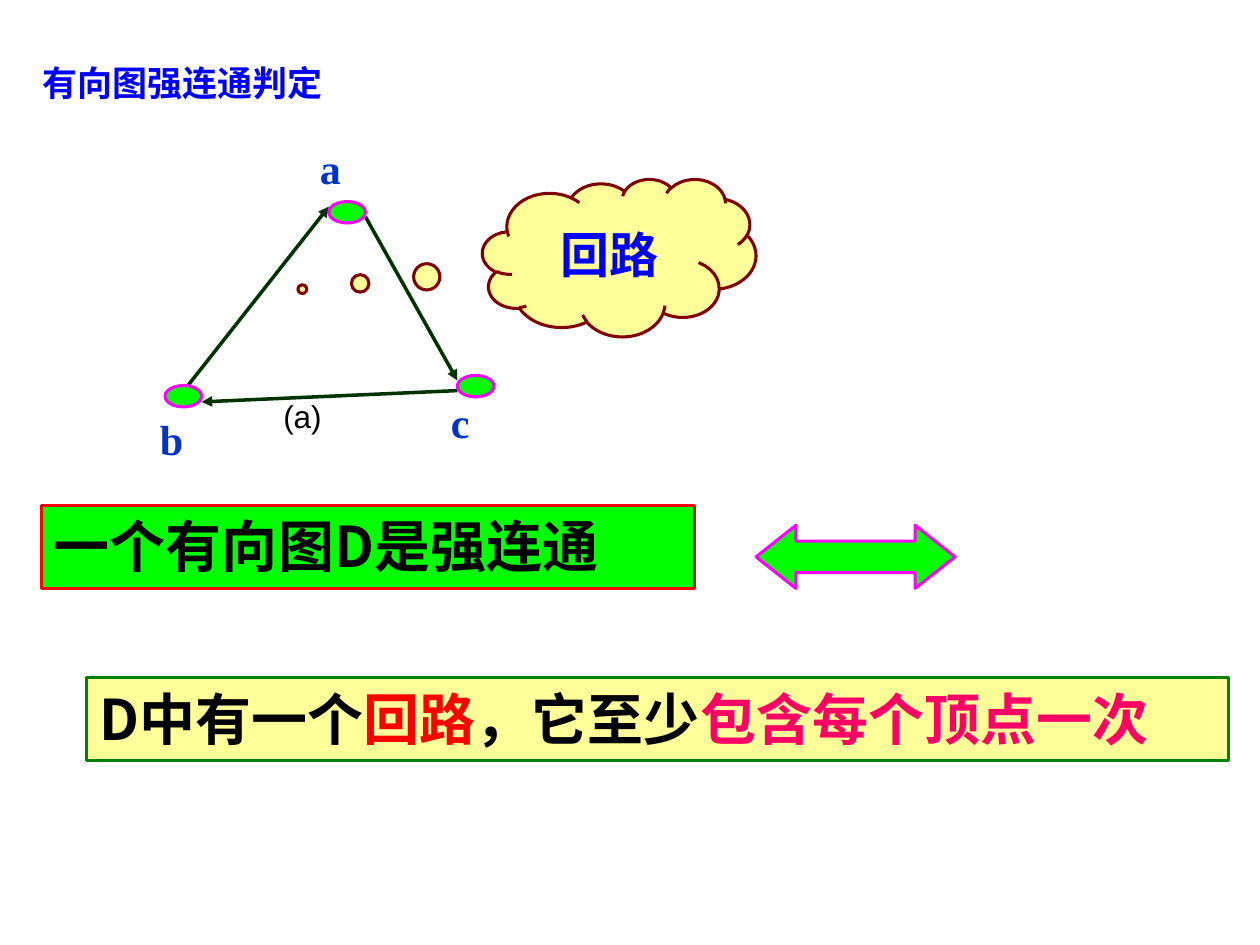
from dataclasses import dataclass

from lxml import etree
from pptx import Presentation
from pptx.dml.color import RGBColor
from pptx.enum import shapes, text
from pptx.oxml import ns
from pptx.util import Inches, Pt


@dataclass(frozen=True)
class Theme:
    cjk: str = "Noto Sans CJK SC"
    serif: str = "Times New Roman"
    sans: str = "Arial"
    blue: str = "0000FF"
    label_blue: str = "0033CC"
    green: str = "00FF00"
    border_green: str = "008000"
    edge_green: str = "003300"
    magenta: str = "FF00FF"
    yellow: str = "FFFF99"
    maroon: str = "800000"
    red: str = "FF0000"
    pink: str = "FF0066"
    black: str = "000000"
    caption_size: float = 18
    title_size: float = 20
    label_size: float = 24
    cloud_size: float = 28
    statement_size: float = 32
    outline: float = 1.75
    edge: float = 2


THEME = Theme()
GEOMETRY = shapes.MSO_SHAPE


def write(shape, *runs, size, font=THEME.cjk, bold=True,
          align=text.PP_ALIGN.LEFT, anchor=text.MSO_ANCHOR.TOP):
    """Fill a shape with one paragraph of (wording, colour) runs."""
    frame = shape.text_frame
    frame.word_wrap = True
    frame.vertical_anchor = anchor
    paragraph = frame.paragraphs[0]
    paragraph.alignment = align
    for wording, colour in runs:
        run = paragraph.add_run()
        run.text = wording
        run.font.size = Pt(size)
        run.font.bold = bold
        run.font.name = font
        run.font.color.rgb = RGBColor.from_string(colour)
        east_asian = etree.SubElement(run.font._element, ns.qn("a:ea"))
        east_asian.set("typeface", font)


def add_text(slide, box, wording, *, colour, **style):
    write(slide.shapes.add_textbox(*map(Inches, box)), (wording, colour), **style)


def add_figure(slide, geometry, box, *, fill, line, adjustments=()):
    figure = slide.shapes.add_shape(geometry, *map(Inches, box))
    figure.shadow.inherit = False
    figure.fill.solid()
    figure.fill.fore_color.rgb = RGBColor.from_string(fill)
    figure.line.color.rgb = RGBColor.from_string(line)
    figure.line.width = Pt(THEME.outline)
    for index, value in enumerate(adjustments):
        figure.adjustments[index] = value
    return figure


def add_arrow(slide, start, end):
    arrow = slide.shapes.add_connector(
        shapes.MSO_CONNECTOR.STRAIGHT, *map(Inches, (*start, *end)))
    arrow.line.color.rgb = RGBColor.from_string(THEME.edge_green)
    arrow.line.width = Pt(THEME.edge)
    etree.SubElement(arrow.line._get_or_add_ln(), ns.qn("a:tailEnd"), type="triangle")
    etree.SubElement(arrow._element.spPr, ns.qn("a:effectLst"))


def add_graph(slide, box):
    """Directed triangle b → a → c → b with its labels and caption."""
    left, top, width, height = box
    node_w, node_h = 0.29, 0.17
    nodes = {
        "a": (left + 1.44, top + 0.52),
        "c": (left + width - node_w, top + 1.9),
        "b": (left + 0.14, top + 1.98),
    }
    labels = {
        "a": (left + 1.27, top),
        "b": (left, top + 2.15),
        "c": (left + 2.31, top + 2.02),
    }
    # Each edge: tail node, offset in it, head node, offset in it.
    edges = [
        ("b", (0.15, 0.04), "a", (0, 0.04)),
        ("c", (0, 0.12), "b", (node_w, 0.13)),
        ("a", (node_w, 0.12), "c", (0, 0.04)),
    ]

    def point(name, offset):
        return nodes[name][0] + offset[0], nodes[name][1] + offset[1]

    for name, corner in labels.items():
        add_text(slide, (*corner, 0.63, 0.52), name, colour=THEME.label_blue,
                 size=THEME.label_size, font=THEME.serif)
    for tail, tail_offset, head, head_offset in edges:
        add_arrow(slide, point(tail, tail_offset), point(head, head_offset))
    add_text(slide, (left + 0.98, top + 2.02, 0.87, 0.41), "(a)", colour=THEME.black,
             size=THEME.caption_size, font=THEME.sans, bold=False)
    for corner in nodes.values():
        add_figure(slide, GEOMETRY.OVAL, (*corner, node_w, node_h),
                   fill=THEME.green, line=THEME.magenta)


def add_thought(slide, box):
    cloud = add_figure(slide, GEOMETRY.CLOUD_CALLOUT, box, fill=THEME.yellow,
                       line=THEME.maroon, adjustments=(-1.159, 0.2))
    write(cloud, ("回路", THEME.blue), size=THEME.cloud_size,
          align=text.PP_ALIGN.CENTER, anchor=text.MSO_ANCHOR.MIDDLE)


def add_statement(slide, box, *runs, fill, line):
    panel = add_figure(slide, GEOMETRY.RECTANGLE, box, fill=fill, line=line)
    write(panel, *runs, size=THEME.statement_size)


def add_theorem(slide, box):
    """Condition, equivalence arrow and the equivalent property."""
    left, top, width, height = box
    panel_h = 0.66
    add_statement(slide, (left, top, 5.18, panel_h),
                  ("一个有向图D是强连通", THEME.black),
                  fill=THEME.green, line=THEME.red)
    add_figure(slide, GEOMETRY.LEFT_RIGHT_ARROW, (left + 5.67, top + 0.16, 1.58, 0.5),
               fill=THEME.green, line=THEME.magenta, adjustments=(0.5, 0.633))
    indent = 0.36
    add_statement(slide, (left + indent, top + height - panel_h, width - indent, panel_h),
                  ("D中有一个", THEME.black), ("回路", THEME.red),
                  ("，它至少", THEME.black), ("包含每个顶点一次", THEME.pink),
                  fill=THEME.yellow, line=THEME.border_green)


def main():
    deck = Presentation()
    deck.slide_width, deck.slide_height = Inches(10), Inches(7.5)
    slide = deck.slides.add_slide(deck.slide_layouts[6])
    add_text(slide, (0.24, 0.44, 2.76, 0.43), "有向图强连通判定",
             colour=THEME.blue, size=THEME.title_size)
    add_graph(slide, (1.17, 1.08, 2.75, 2.67))
    add_thought(slide, (3.83, 1.42, 2.17, 1.25))
    add_theorem(slide, (0.33, 4.01, 9.42, 2.03))
    deck.save("out.pptx")


if __name__ == "__main__":
    main()
